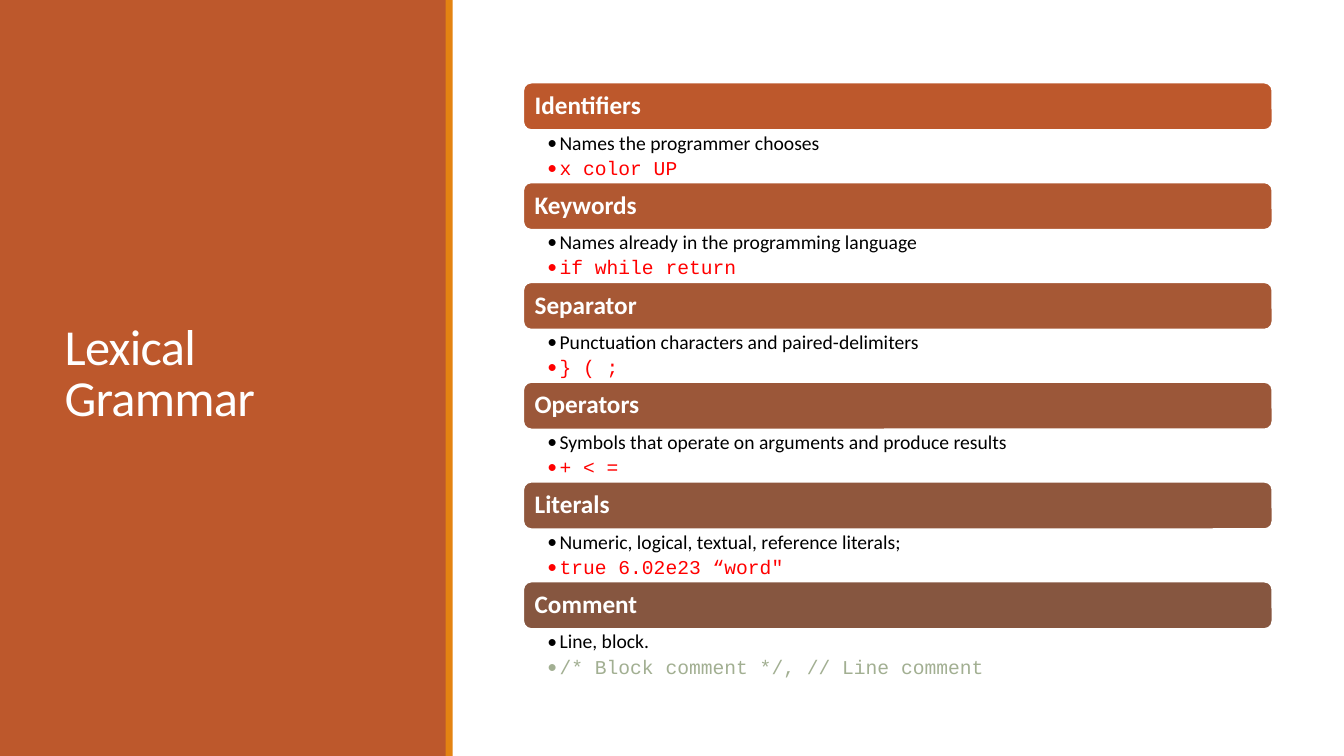
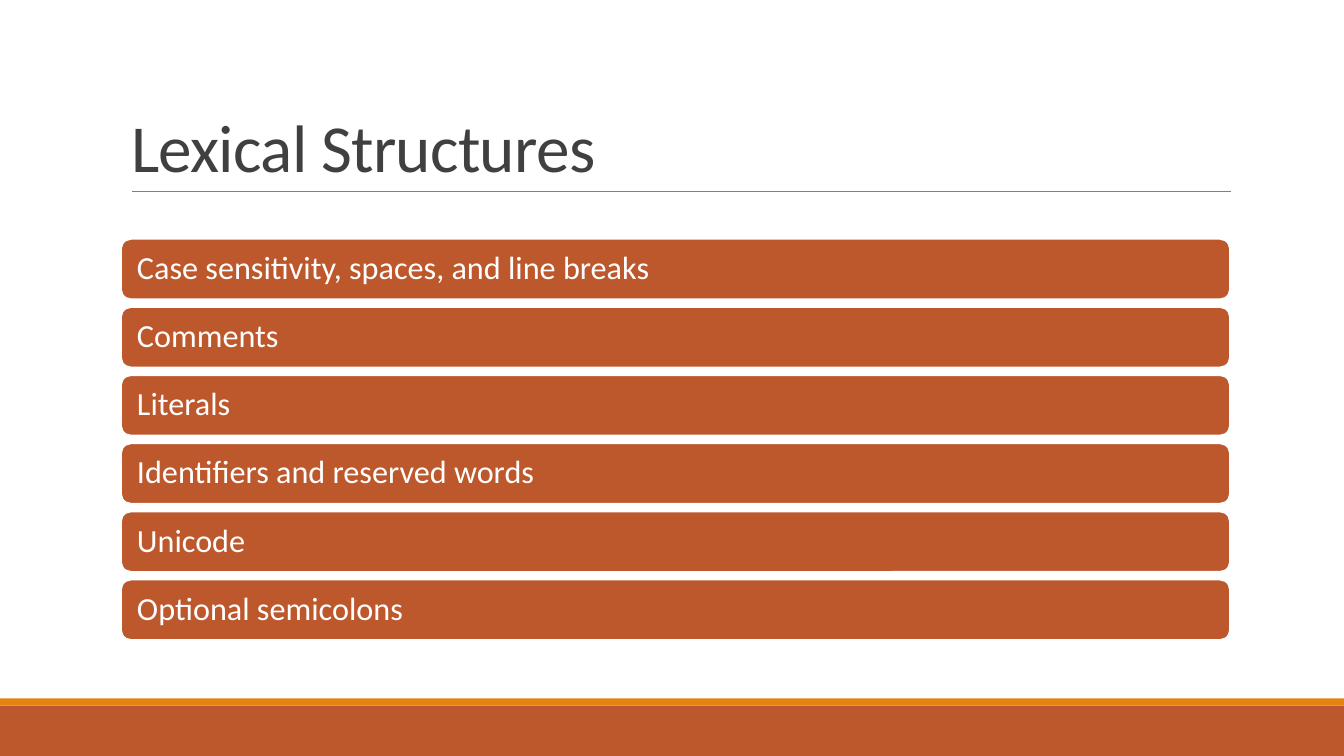
from lxml import etree
from pptx import Presentation
from pptx import util as u
from pptx.dml.color import RGBColor
from pptx.enum import shapes, text
from pptx.oxml import ns

RUST = RGBColor(0xBD, 0x58, 0x2C)
ORANGE = RGBColor(0xE4, 0x83, 0x12)
WHITE = RGBColor(0xFF, 0xFF, 0xFF)
BLACK = RGBColor(0x00, 0x00, 0x00)
CHARCOAL = RGBColor(0x40, 0x40, 0x40)
GRAY = RGBColor(0x80, 0x80, 0x80)
RED = RGBColor(0xFF, 0x00, 0x00)
SAGE = RGBColor(0xA2, 0xAF, 0x92)
SHADES = [RUST, RGBColor(0xB1, 0x58, 0x31), RGBColor(0xA6, 0x58, 0x35),
          RGBColor(0x9B, 0x57, 0x39), RGBColor(0x90, 0x57, 0x3D),
          RGBColor(0x86, 0x56, 0x40)]
BODY_FONT, CODE_FONT = "Calibri", "Courier New"
W, H = 13.33, 7.5

# heading, explanation, sample, sample colour
TOKENS = [
    ("Identifiers", "Names the programmer chooses", "x color UP", RED),
    ("Keywords", "Names already in the programming language",
     "if while return", RED),
    ("Separator", "Punctuation characters and paired-delimiters",
     "} ( ;", RED),
    ("Operators", "Symbols that operate on arguments and produce results",
     "+ < =", RED),
    ("Literals", "Numeric, logical, textual, reference literals;",
     "true 6.02e23 “word\"", RED),
    ("Comment", "Line, block.", "/* Block comment */, // Line comment", SAGE),
]
TOPICS = ["Case sensitivity, spaces, and line breaks", "Comments", "Literals",
          "Identifiers and reserved words", "Unicode", "Optional semicolons"]


def inches(*lengths):
    """Convert several lengths to EMU."""
    return [u.Inches(n) for n in lengths]


def write(p, words, size, color, font=BODY_FONT, bold=False, spacing=0.9,
          after=0, tracking=0, bullet=False):
    """Fill a paragraph with one formatted run."""
    p.alignment = text.PP_ALIGN.LEFT
    p.line_spacing, p.space_after = spacing, u.Pt(after)
    r = p.add_run()
    r.text = words
    r.font.name, r.font.size, r.font.bold = font, u.Pt(size), bold
    r.font.color.rgb = color
    if tracking:
        r._r.get_or_add_rPr().set("spc", str(int(tracking * 100)))
    if bullet:
        pPr = p._p.get_or_add_pPr()
        pPr.set("marL", str(u.Inches(0.12)))
        pPr.set("indent", str(u.Inches(-0.12)))
        etree.SubElement(pPr, ns.qn("a:buFont")).set("typeface", BODY_FONT)
        etree.SubElement(pPr, ns.qn("a:buChar")).set("char", "•")


def set_frame(tf, anchor, left=0.1, top=0.05, right=0.1):
    """Set wrapping, anchor and insets of a text frame."""
    tf.word_wrap, tf.auto_size = True, text.MSO_AUTO_SIZE.NONE
    tf.vertical_anchor = anchor
    tf.margin_left, tf.margin_right = inches(left, right)
    tf.margin_top, tf.margin_bottom = inches(top, top)


def add_block(s, box, fill, kind=shapes.MSO_SHAPE.RECTANGLE):
    """Add a flat filled shape without outline."""
    sp = s.shapes.add_shape(kind, *inches(*box))
    sp.shadow.inherit = False
    sp.fill.solid()
    sp.fill.fore_color.rgb = fill
    sp.line.fill.background()
    return sp


def add_bar(s, box, words, size, fill, inset, bold=False):
    """Add a rounded, white-edged bar with its label."""
    sp = add_block(s, box, fill, shapes.MSO_SHAPE.ROUNDED_RECTANGLE)
    sp.line.color.rgb, sp.line.width = WHITE, u.Pt(1.25)
    set_frame(sp.text_frame, text.MSO_ANCHOR.MIDDLE, inset, 0.05, inset)
    write(sp.text_frame.paragraphs[0], words, size, WHITE, bold=bold)


def add_slide(prs, title, box, size, color, anchor, bands):
    """Add a slide with its colour bands and placed title."""
    s = prs.slides.add_slide(prs.slide_layouts[5])
    for band, fill in zip(bands, (RUST, ORANGE)):
        add_block(s, band, fill)
    sp = s.shapes.title
    sp.left, sp.top, sp.width, sp.height = inches(*box)
    s.shapes._spTree.append(sp._element)
    set_frame(sp.text_frame, anchor)
    write(sp.text_frame.paragraphs[0], title, size, color, spacing=0.85,
          tracking=-0.5)
    return s


def add_rule(s, left, right, y):
    """Add the thin line under a title."""
    line = s.shapes.add_connector(shapes.MSO_CONNECTOR.STRAIGHT,
                                  *inches(left, y, right, y))
    line.line.color.rgb, line.line.width = GRAY, u.Pt(0.5)
    etree.SubElement(line._element.spPr, ns.qn("a:effectLst"))


def build_grammar(prs):
    """Build the slide of token kinds beside a side panel."""
    s = add_slide(prs, "Lexical Grammar", (0.54, 0.57, 3.37, 6.31), 36, WHITE,
                  text.MSO_ANCHOR.MIDDLE,
                  [(0, 0, 4.43, H), (4.42, 0, 0.07, H)])
    left, top, width, bar, pitch = 5.19, 0.82, 7.43, 0.47, 0.99
    for i, (heading, meaning, sample, color) in enumerate(TOKENS):
        y = top + i * pitch
        add_bar(s, (left, y, width, bar), heading, 18, SHADES[i], 0.09, True)
        tf = s.shapes.add_textbox(
            *inches(left, y + bar, width, pitch - bar)).text_frame
        set_frame(tf, text.MSO_ANCHOR.TOP, 0.24, 0.03, 0.14)
        write(tf.paragraphs[0], meaning, 14, BLACK, after=2.8, bullet=True)
        write(tf.add_paragraph(), sample, 14, color, CODE_FONT, after=2.8,
              bullet=True)


def build_structures(prs):
    """Build the slide of topic bars above the foot bands."""
    s = add_slide(prs, "Lexical Structures", (1.2, 0.31, 11, 1.59), 48,
                  CHARCOAL, text.MSO_ANCHOR.BOTTOM,
                  [(0, 7, W, 0.5), (0, 6.93, W, 0.07)])
    add_rule(s, 1.31, 12.21, 1.9)
    left, top, width, bar, pitch = 1.2, 2.37, 11, 0.6, 0.676
    for i, topic in enumerate(TOPICS):
        add_bar(s, (left, top + i * pitch, width, bar), topic, 23, RUST, 0.13)


prs = Presentation()
prs.slide_width, prs.slide_height = inches(W, H)
build_grammar(prs)
build_structures(prs)
prs.save("out.pptx")
